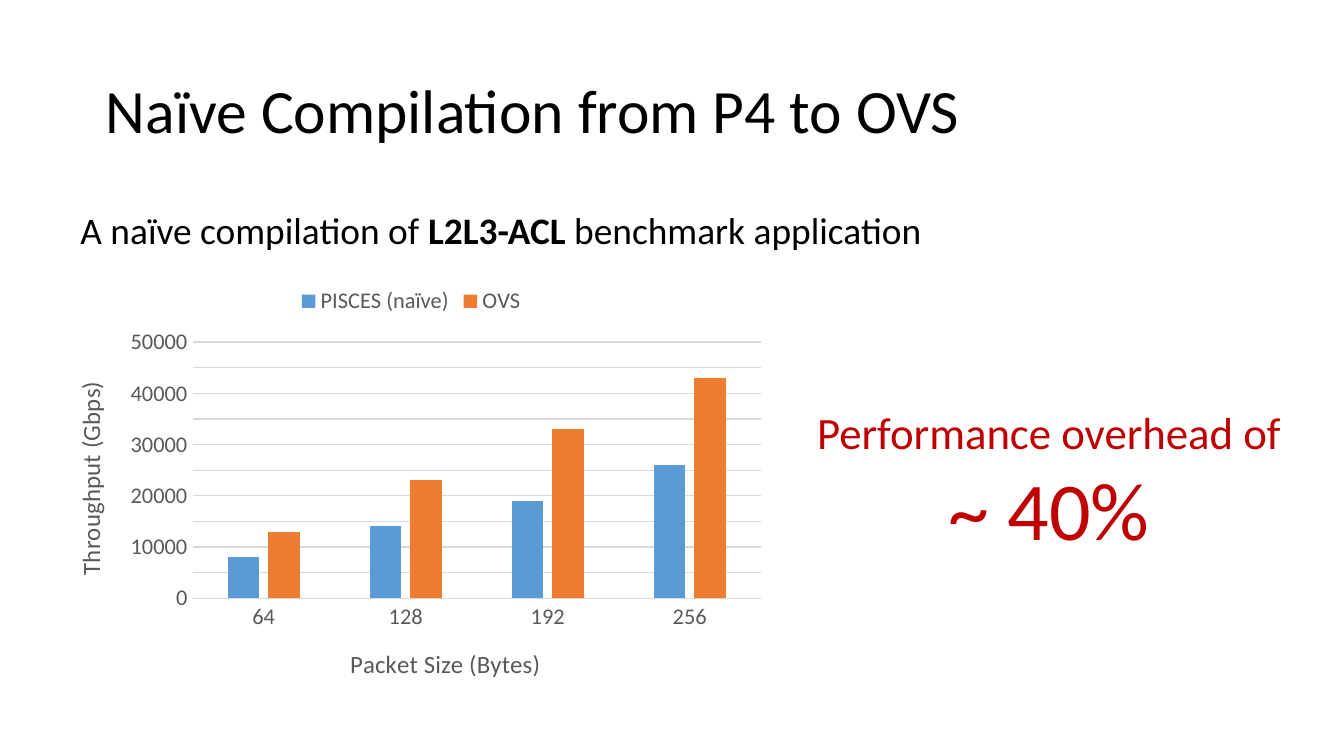
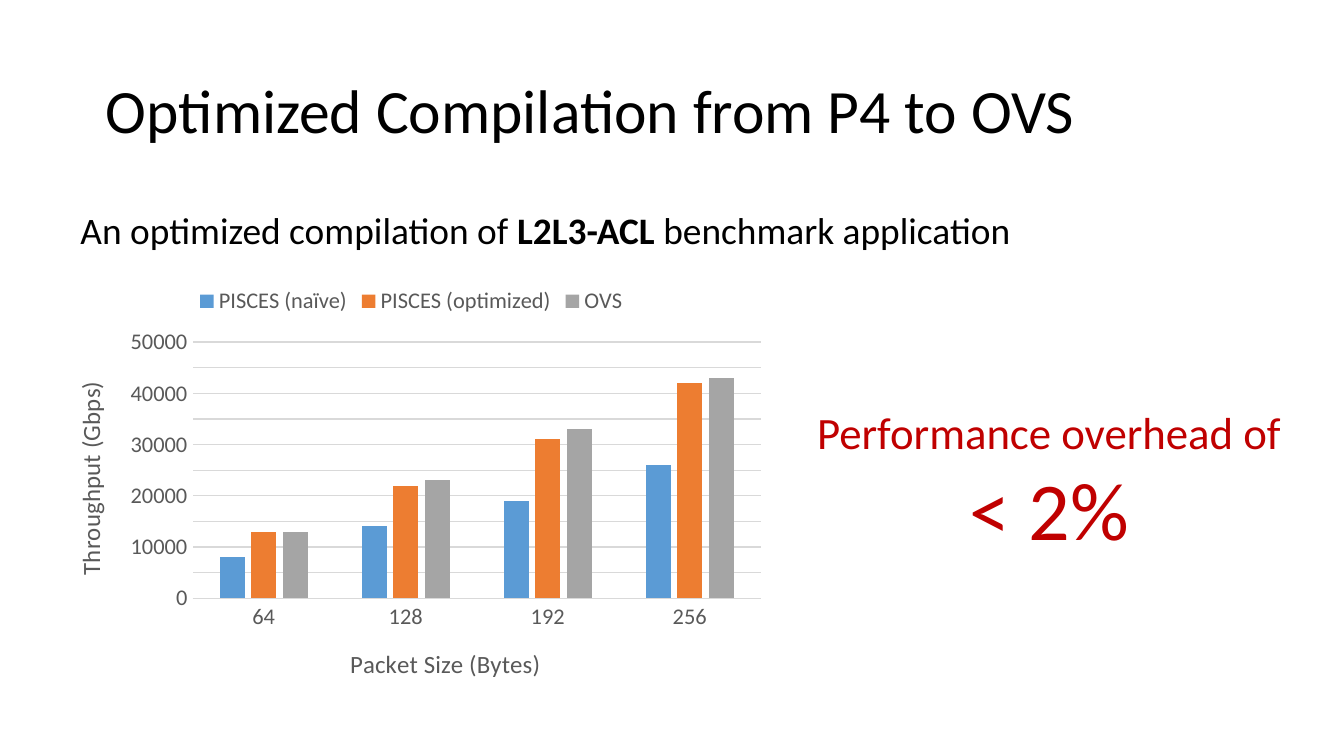
from pptx import Presentation
from pptx.chart.data import CategoryChartData
from pptx.dml.color import RGBColor
from pptx.enum.chart import XL_CHART_TYPE as ChartType, XL_LEGEND_POSITION as LegendPosition, XL_TICK_MARK as TickMark
from pptx.enum.text import MSO_ANCHOR as Anchor, PP_ALIGN as Align
from pptx.oxml import parse_xml
from pptx.oxml.ns import nsdecls, qn
from pptx.util import Inches, Pt

FONT = "Calibri"
BLACK = RGBColor(0x00, 0x00, 0x00)
RED = RGBColor(0xC0, 0x00, 0x00)
AXIS_GRAY = RGBColor(0x59, 0x59, 0x59)
GRID_GRAY = RGBColor(0xD9, 0xD9, 0xD9)
SERIES_COLORS = [
    RGBColor(0x5B, 0x9B, 0xD5),
    RGBColor(0xED, 0x7D, 0x31),
    RGBColor(0xA5, 0xA5, 0xA5),
]

SLIDE_WIDTH = 10
SLIDE_HEIGHT = SLIDE_WIDTH * 9 / 16
TITLE_BOX = (0.69, 0.3, 8.62, 1.09)
SUBTITLE_BOX = (0.5, 1.49, 8.12, 0.44)
CHART_BOX = (0.35, 2.03, 5.42, 3.23)
CALLOUT_BOX = (5.95, 2.96, 3.71, 1.25)

PACKET_SIZES = [64, 128, 192, 256]
NAIVE = ("PISCES (naïve)", [8000, 14000, 19000, 26000])
OPTIMIZED = ("PISCES (optimized)", [13000, 22000, 31000, 42000])
OVS = ("OVS", [13000, 23000, 33000, 43000])

SLIDES = [
    {
        "title": "Naïve Compilation from P4 to OVS",
        "lead": "A naïve compilation of ",
        "series": [NAIVE, OVS],
        "overhead": "~ 40%",
    },
    {
        "title": "Optimized Compilation from P4 to OVS",
        "lead": "An optimized compilation of ",
        "series": [NAIVE, OPTIMIZED, OVS],
        "overhead": "< 2%",
    },
]


def set_font(font, size, color, bold=False):
    """Apply the shared typeface with a size, colour and weight."""
    for name, value in {"name": FONT, "size": Pt(size), "bold": bold}.items():
        setattr(font, name, value)
    font.color.rgb = color


def add_text(slide, box, paragraphs, **frame_format):
    """Add a text box of paragraphs, each a list of (text, size, colour, bold)."""
    frame = slide.shapes.add_textbox(*map(Inches, box)).text_frame
    for name, value in {"word_wrap": True, **frame_format}.items():
        setattr(frame, name, value)
    for index, runs in enumerate(paragraphs):
        paragraph = frame.add_paragraph() if index else frame.paragraphs[0]
        for text, *style in runs:
            run = paragraph.add_run()
            run.text = text
            set_font(run.font, *style)
    return frame


def add_title(slide, box, title):
    """Add the slide title."""
    frame = add_text(slide, box, [[(title, 33, BLACK)]], vertical_anchor=Anchor.MIDDLE)
    frame.paragraphs[0].line_spacing = 0.9


def add_subtitle(slide, box, lead):
    """Add the line that names the benchmark in bold."""
    runs = [(lead, 20, BLACK), ("L2L3-ACL", 20, BLACK, True), (" benchmark application", 20, BLACK)]
    add_text(slide, box, [runs])


def add_callout(slide, box, overhead):
    """Add the centred red statement of the overhead."""
    paragraphs = [[("Performance overhead of", 24, RED)], [(overhead, 44, RED)]]
    for paragraph in add_text(slide, box, paragraphs, word_wrap=False).paragraphs:
        paragraph.alignment = Align.CENTER


def set_layout(element, index, **fractions):
    """Place a chart part by fractions of the chart's size."""
    for layout in element.findall(qn("c:layout")):
        element.remove(layout)
    modes = '<c:xMode val="edge"/><c:yMode val="edge"/>'
    target = '<c:layoutTarget val="inner"/>' if "w" in fractions else ""
    values = "".join(f'<c:{name} val="{value}"/>' for name, value in fractions.items())
    element.insert(index, parse_xml(
        f'<c:layout {nsdecls("c")}><c:manualLayout>{target}{modes}{values}</c:manualLayout></c:layout>'
    ))


def format_axis(axis, title, x, y, rotation):
    """Style an axis and place its title."""
    for name, value in {"major_tick_mark": TickMark.NONE, "minor_tick_mark": TickMark.NONE}.items():
        setattr(axis, name, value)
    set_font(axis.tick_labels.font, 12, AXIS_GRAY)
    frame = axis.axis_title.text_frame
    frame.text = title
    set_font(frame.paragraphs[0].runs[0].font, 13.3, AXIS_GRAY)
    element = axis.axis_title._element
    element.find(".//" + qn("a:bodyPr")).set("rot", str(rotation))
    set_layout(element, 1, x=x, y=y)


def set_line(line):
    """Draw a thin gray chart line."""
    line.color.rgb = GRID_GRAY
    line.width = Pt(0.75)


def add_throughput_chart(slide, box, series_list):
    """Add the clustered columns of throughput by packet size."""
    data = CategoryChartData(number_format="General")
    data.categories = PACKET_SIZES
    for name, values in series_list:
        data.add_series(name, values)
    chart = slide.shapes.add_chart(ChartType.COLUMN_CLUSTERED, *map(Inches, box), data).chart
    set_font(chart.font, 10, BLACK)
    chart.has_title = False
    chart.has_legend = True
    chart.legend.position = LegendPosition.TOP
    chart.legend.include_in_layout = False
    set_font(chart.legend.font, 12, AXIS_GRAY)

    plot = chart.plots[0]
    for name, value in {"gap_width": 219, "overlap": -27, "vary_by_categories": False}.items():
        setattr(plot, name, value)
    for series, color in zip(plot.series, SERIES_COLORS):
        series.format.fill.solid()
        series.format.fill.fore_color.rgb = color

    format_axis(chart.category_axis, "Packet Size (Bytes)", 0.41, 0.85, 0)
    set_line(chart.category_axis.format.line)
    value_axis = chart.value_axis
    format_axis(value_axis, "Throughput (Gbps)", 0.03, 0.24, -5400000)
    for name, value in {"minimum_scale": 0, "maximum_scale": 50000, "major_unit": 5000}.items():
        setattr(value_axis, name, value)
    value_axis.format.line.fill.background()
    set_line(value_axis.major_gridlines.format.line)
    plot_area = chart._chartSpace.find(".//" + qn("c:plotArea"))
    set_layout(plot_area, 0, x=0.2, y=0.16, w=0.78, h=0.59)


def add_result_slide(presentation, content):
    """Add one slide of benchmark results."""
    slide = presentation.slides.add_slide(presentation.slide_layouts[6])
    add_title(slide, TITLE_BOX, content["title"])
    add_throughput_chart(slide, CHART_BOX, content["series"])
    add_subtitle(slide, SUBTITLE_BOX, content["lead"])
    add_callout(slide, CALLOUT_BOX, content["overhead"])


def main():
    """Build and save the presentation."""
    presentation = Presentation()
    presentation.slide_width = Inches(SLIDE_WIDTH)
    presentation.slide_height = Inches(SLIDE_HEIGHT)
    for content in SLIDES:
        add_result_slide(presentation, content)
    presentation.save("out.pptx")


if __name__ == "__main__":
    main()
